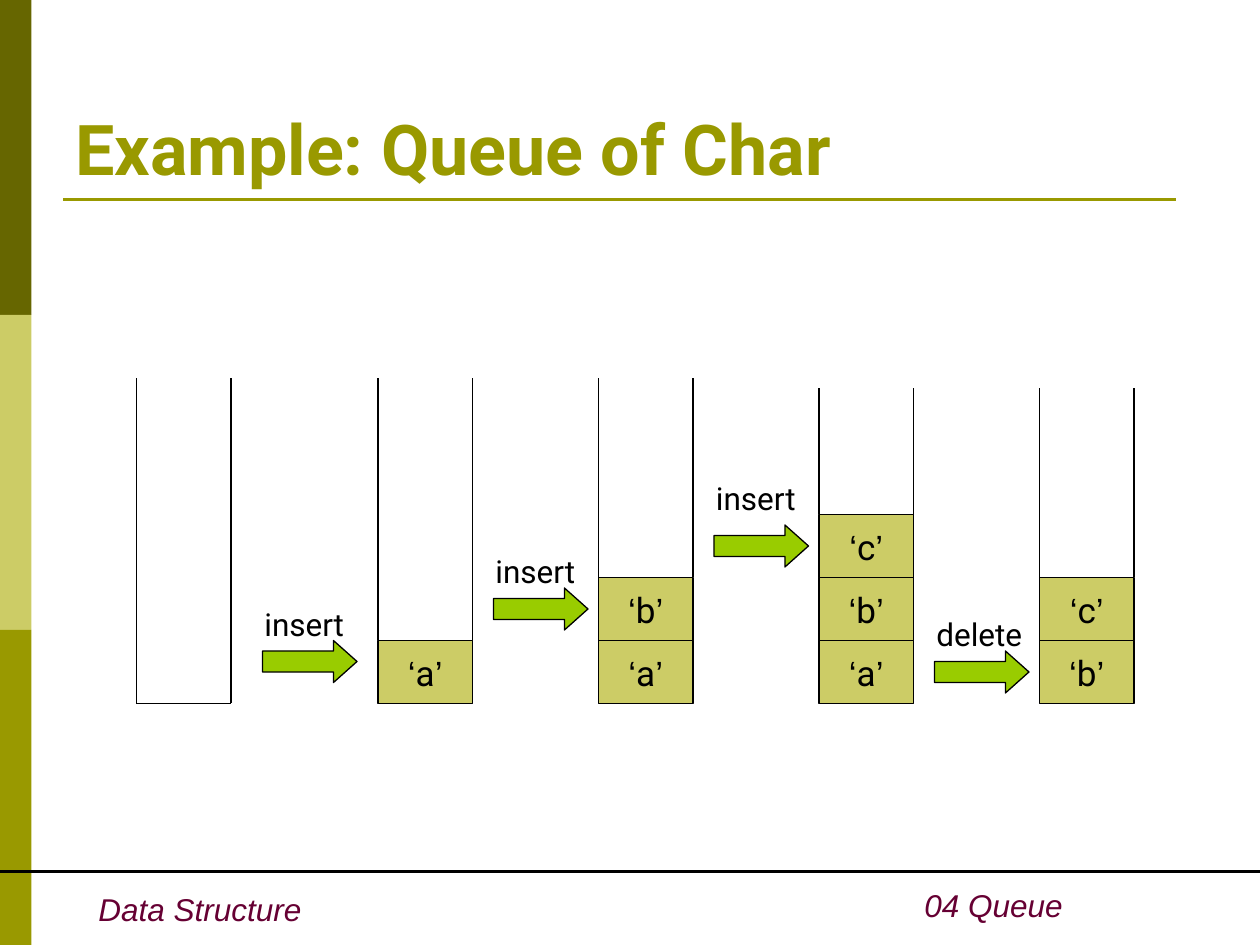
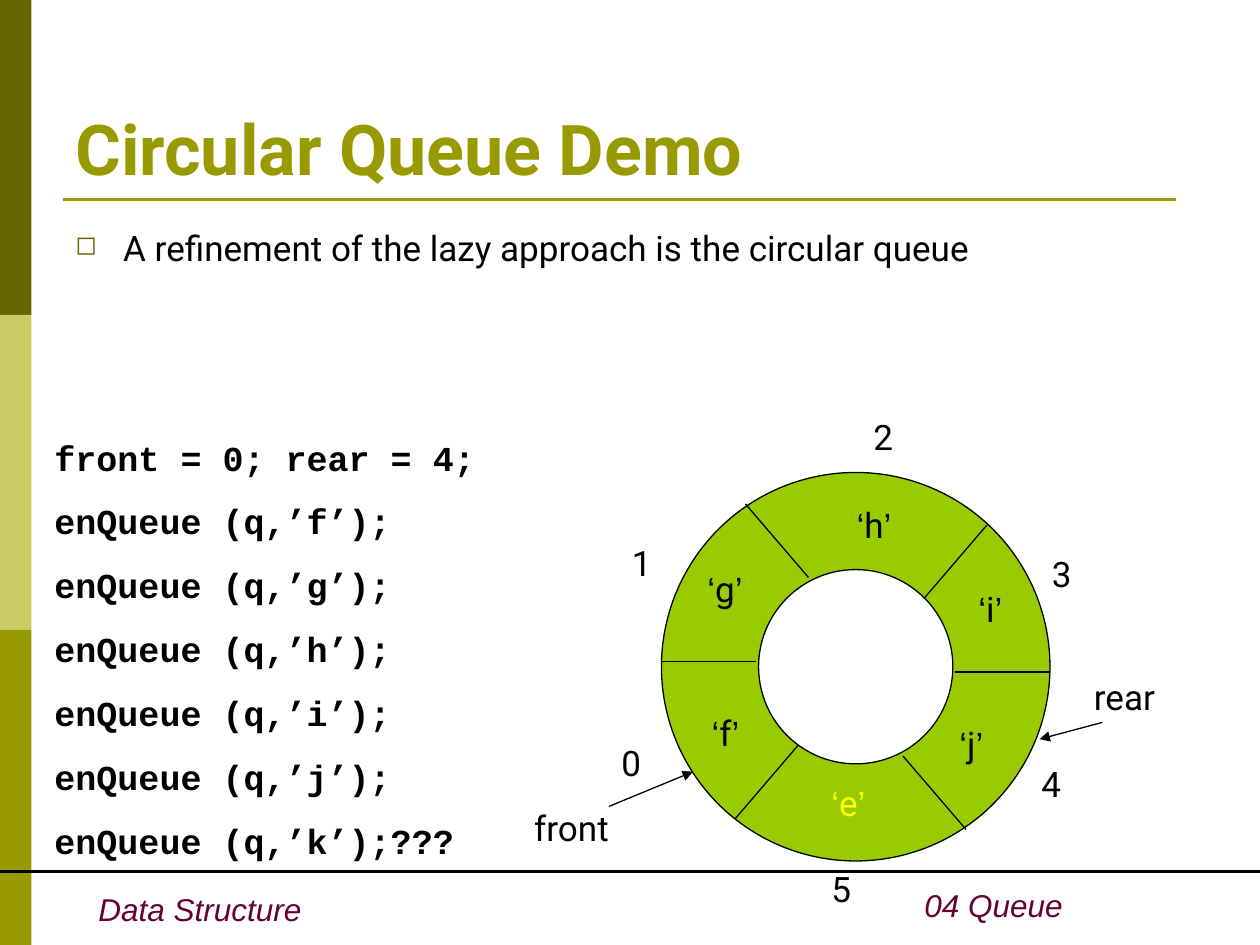
from lxml import etree
from pptx import Presentation
from pptx.dml.color import RGBColor
from pptx.enum.shapes import MSO_CONNECTOR, MSO_SHAPE
from pptx.enum.text import MSO_ANCHOR, PP_ALIGN
from pptx.oxml.ns import qn
from pptx.util import Inches, Pt

STRAIGHT = MSO_CONNECTOR.STRAIGHT
RECTANGLE, RIGHT_ARROW, DONUT = MSO_SHAPE.RECTANGLE, MSO_SHAPE.RIGHT_ARROW, MSO_SHAPE.DONUT
TOP, MIDDLE, BOTTOM = MSO_ANCHOR.TOP, MSO_ANCHOR.MIDDLE, MSO_ANCHOR.BOTTOM
LEFT, CENTER, RIGHT = PP_ALIGN.LEFT, PP_ALIGN.CENTER, PP_ALIGN.RIGHT

# Shared look
DARK_OLIVE, PALE_OLIVE, OLIVE = "666600", "CCCC66", "999900"
GREEN, MAROON, BLACK, YELLOW = "99CC00", "660033", "000000", "FFFF00"
BODY_FONT, FOOTER_FONT, CODE_FONT = "Roboto", "Arial", "Courier New"
color = RGBColor.from_string

# The slide is a grid of 120 columns by 90 rows
COLUMNS, ROWS = 120, 90
CELL = Inches(10) // COLUMNS


def add_line(slide, start, end, line_color=BLACK, width=0.75, arrow=False):
    ends = [round(value * CELL) for value in (*start, *end)]
    connector = slide.shapes.add_connector(STRAIGHT, *ends)
    connector.line.color.rgb = color(line_color)
    connector.line.width = Pt(width)
    properties = connector._element.spPr
    if arrow:
        etree.SubElement(properties.find(qn("a:ln")), qn("a:tailEnd"), type="triangle")
    etree.SubElement(properties, qn("a:effectLst"))


def add_text(slide, place, text, size=20, font=BODY_FONT, text_color=BLACK,
             bold=False, italic=False, align=LEFT, anchor=TOP, block=False):
    area = [round(value * CELL) for value in place]
    if block:
        shape = slide.shapes.add_shape(RECTANGLE, *area)
        shape.shadow.inherit = False
        shape.fill.solid()
        shape.fill.fore_color.rgb = color(PALE_OLIVE)
        shape.line.color.rgb = color(BLACK)
        shape.line.width = Pt(0.75)
    else:
        shape = slide.shapes.add_textbox(*area)
    frame = shape.text_frame
    frame.word_wrap = True
    frame.vertical_anchor = anchor
    for number, line in enumerate(text.split("\n")):
        paragraph = frame.add_paragraph() if number else frame.paragraphs[0]
        paragraph.alignment = align
        if number:
            paragraph.space_before = Pt(12.5)
        # Quoted characters have their quotes in another font
        for piece in line if line.startswith("‘") else [line]:
            run = paragraph.add_run()
            run.text = piece
            run.font.name = "Arial" if piece in "‘’" else font
            run.font.size = Pt(size)
            run.font.bold = bold
            run.font.italic = italic
            run.font.color.rgb = color(text_color)
    return shape


presentation = Presentation()
presentation.slide_width = COLUMNS * CELL
presentation.slide_height = ROWS * CELL

# Bands, title, rules and footers of both slides
slides = []
for title in ["Example: Queue of Char", "Circular Queue Demo"]:
    slide = presentation.slides.add_slide(presentation.slide_layouts[6])
    slides.append(slide)
    for number, band_color in enumerate([DARK_OLIVE, PALE_OLIVE, OLIVE]):
        band_height = ROWS // 3 * CELL
        band = slide.shapes.add_shape(RECTANGLE, 0, number * band_height, 3 * CELL, band_height)
        band.shadow.inherit = False
        band.fill.solid()
        band.fill.fore_color.rgb = color(band_color)
        band.line.fill.background()
    add_line(slide, (6, 19), (112, 19), OLIVE, 1.5)
    add_text(slide, (8.2, 84.2, 24, 4.8), "Data Structure", 18, FOOTER_FONT, MAROON, italic=True)
    add_text(slide, (83.6, 83.8, 18.8, 4.8), "04 Queue", 18, FOOTER_FONT, MAROON,
             italic=True, align=RIGHT)
    add_line(slide, (0, 83), (COLUMNS, 83), width=2.25)
    add_text(slide, (6, 3.6, 108, 15), title, 40, text_color=OLIVE, bold=True, anchor=BOTTOM)

char_slide, circular_slide = slides

# Queue states: left column, top row, characters from the bottom up
FLOOR, QUEUE_WIDTH, BLOCK_HEIGHT = 67, 9, 6
for left, top, characters in [(13, 36, ""), (36, 36, "a"), (57, 36, "ab"),
                              (78, 37, "abc"), (99, 37, "bc")]:
    right = left + QUEUE_WIDTH
    level = FLOOR - len(characters) * BLOCK_HEIGHT
    add_line(char_slide, (left, level), (right, level))
    for wall in (left, right):
        add_line(char_slide, (wall, top), (wall, level))
    for number, character in enumerate(characters, 1):
        add_text(char_slide, (left, FLOOR - number * BLOCK_HEIGHT, QUEUE_WIDTH, BLOCK_HEIGHT),
                 f"‘{character}’", align=CENTER, anchor=MIDDLE, block=True)

# Operations between the states: arrow column, arrow row, label row
for left, top, label_top, operation in [(25, 61, 57, "insert"), (47, 56, 52, "insert"),
                                        (68, 50, 45, "insert"), (89, 62, 58, "delete")]:
    arrow = char_slide.shapes.add_shape(RIGHT_ARROW, left * CELL, top * CELL, 9 * CELL, 4 * CELL)
    arrow.shadow.inherit = False
    arrow.adjustments[1] = 0.56
    arrow.fill.solid()
    arrow.fill.fore_color.rgb = color(GREEN)
    arrow.line.color.rgb = color(BLACK)
    arrow.line.width = Pt(0.75)
    add_text(char_slide, (left - 1, label_top, 12, 4.8), operation, 18)

# Bulleted statement
statement = add_text(circular_slide, (6, 21, 108, 6),
                     "A refinement of the lazy approach is the circular queue")
bullet = statement.text_frame.paragraphs[0]._p.get_or_add_pPr()
bullet.set("marL", str(Inches(0.38)))
bullet.set("indent", str(-Inches(0.38)))
bullet_color = etree.SubElement(bullet, qn("a:buClr"))
etree.SubElement(bullet_color, qn("a:srgbClr"), val=DARK_OLIVE)
etree.SubElement(bullet, qn("a:buSzPct"), val="75000")
etree.SubElement(bullet, qn("a:buChar"), char="◻")

# Code
calls = [f"enQueue (q,’{character}’);" for character in "fghijk"]
add_text(circular_slide, (4, 41, 45, 5.3), "front = 0; rear = 4;", font=CODE_FONT, bold=True)
add_text(circular_slide, (4, 47, 45, 35.6), "\n".join(calls) + "???", font=CODE_FONT, bold=True)

# Ring with its dividers
ring = circular_slide.shapes.add_shape(DONUT, 63 * CELL, 45 * CELL, 37 * CELL, 37 * CELL)
ring.shadow.inherit = False
ring.adjustments[0] = 0.25
ring.fill.solid()
ring.fill.fore_color.rgb = color(GREEN)
ring.line.color.rgb = color(BLACK)
ring.line.width = Pt(0.75)
for start, end in [((63, 63), (72, 63)), ((70, 78), (76, 71)), ((91, 64), (100, 64)),
                   ((88, 57), (94, 50)), ((86, 72), (92, 79)), ((71, 48), (77, 55))]:
    add_line(circular_slide, start, end)

# Slot numbers and the characters in the slots
number_places = [(58, 70), (59, 51), (82, 39), (99, 52), (98, 72), (78, 82)]
character_places = [(66.6, 67.2), (66.2, 53.5), (80.4, 47.4), (92, 55.4), (90.2, 68.2), (78, 73.8)]
for slot, character in enumerate("fghije"):
    add_text(circular_slide, (*number_places[slot], 6, 5.3), str(slot))
    add_text(circular_slide, (*character_places[slot], 6, 5.3), f"‘{character}’",
             text_color=YELLOW if character == "e" else BLACK)

# Front and rear pointers
for name, place, start, end in [("rear", (103, 63.7, 9, 5.3), (105, 68.8), (99, 70.4)),
                                ("front", (49.7, 76.2, 13, 5.3), (58, 76.8), (66, 73.5))]:
    add_text(circular_slide, place, name)
    add_line(circular_slide, start, end, arrow=True)

presentation.save("out.pptx")
